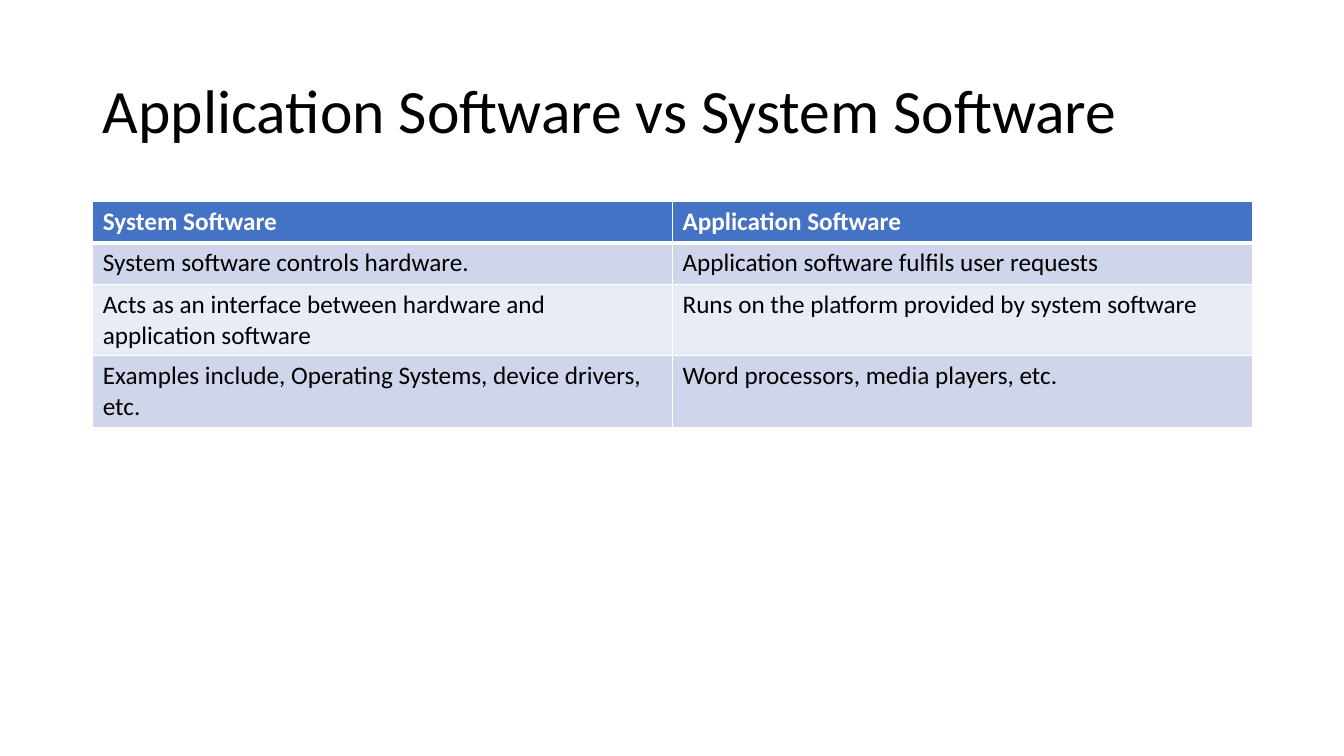
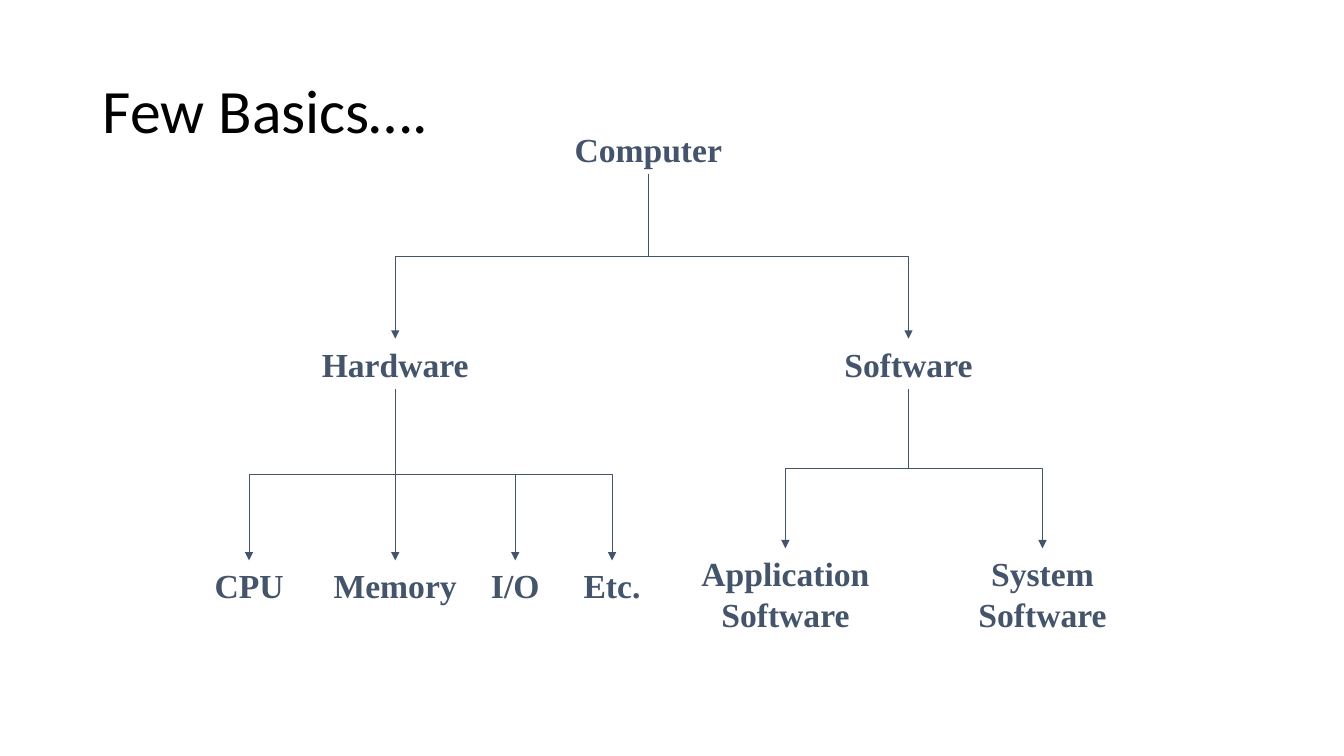
from lxml import etree
from pptx import Presentation
from pptx.dml.color import RGBColor
from pptx.enum.shapes import MSO_CONNECTOR as CONNECTOR
from pptx.enum.text import MSO_ANCHOR as ANCHOR, MSO_AUTO_SIZE as AUTO_SIZE, PP_ALIGN as ALIGN
from pptx.oxml.ns import qn
from pptx.util import Inches, Pt

BLACK, WHITE, SLATE = "000000", "FFFFFF", "44546A"
HEADER_FILL, ROW_FILLS = "4472C4", ("CFD5EA", "E9EBF5")
LEFT, CONTENT_WIDTH = 0.92, 11.5
BOTTOM, TOP = 2, 0  # connection sites of a rectangle

COMPARISON = [
    ("System Software", "Application Software"),
    ("System software controls hardware.", "Application software fulfils user requests"),
    ("Acts as an interface between hardware and application software",
     "Runs on the platform provided by system software"),
    ("Examples include, Operating Systems, device drivers, etc.",
     "Word processors, media players, etc."),
]

# Text, parent, horizontal centre, top, width
NODES = [
    ("Computer", None, 6.43, 1.23, 1.66),
    ("Hardware", "Computer", 3.92, 3.36, 1.66),
    ("Software", "Computer", 9.01, 3.36, 1.48),
    ("Application\nSoftware", "Software", 7.79, 5.44, 1.89),
    ("System\nSoftware", "Software", 10.34, 5.44, 1.49),
    ("CPU", "Hardware", 2.47, 5.56, 0.89),
    ("Memory", "Hardware", 3.92, 5.56, 1.42),
    ("I/O", "Hardware", 5.11, 5.56, 0.68),
    ("Etc.", "Hardware", 6.07, 5.56, 0.77),
]


def color(value):
    return RGBColor.from_string(value)


class Deck:
    TITLE = {"name": "Calibri", "size": Pt(44), "bold": False, "color": BLACK}
    HEADER = {"name": "Calibri", "size": Pt(18), "bold": True, "color": WHITE}
    CELL = {**HEADER, "bold": False, "color": BLACK}
    NODE = {"name": "Times New Roman", "size": Pt(24), "bold": True, "color": SLATE}

    def __init__(self):
        self.presentation = Presentation()
        self.presentation.slide_width = Inches(13.33)
        self.presentation.slide_height = Inches(7.5)
        self.slide = None

    def set_text(self, frame, text, style, align=ALIGN.LEFT, line_spacing=1.0):
        frame.text = text
        for paragraph in frame.paragraphs:
            paragraph.alignment = align
            paragraph.line_spacing = line_spacing
            for name, value in style.items():
                if name == "color":
                    paragraph.font.color.rgb = color(value)
                else:
                    setattr(paragraph.font, name, value)

    def add_slide(self, title):
        self.slide = self.presentation.slides.add_slide(self.presentation.slide_layouts[5])
        shape = self.slide.shapes.title
        shape.left, shape.top = Inches(LEFT), Inches(0.4)
        shape.width, shape.height = Inches(CONTENT_WIDTH), Inches(1.45)
        frame = shape.text_frame
        frame.word_wrap = True
        frame.auto_size = AUTO_SIZE.NONE
        frame.vertical_anchor = ANCHOR.MIDDLE
        self.set_text(frame, title, self.TITLE, line_spacing=0.9)

    def add_border(self, cell, side, points):
        properties = cell._tc.get_or_add_tcPr()
        line = etree.SubElement(properties, qn(f"a:ln{side}"), w=str(Pt(points)))
        fill = etree.SubElement(line, qn("a:solidFill"))
        etree.SubElement(fill, qn("a:srgbClr"), val=WHITE)

    def add_table(self, rows, top, row_height):
        table = self.slide.shapes.add_table(
            len(rows), len(rows[0]), Inches(LEFT), Inches(top),
            Inches(CONTENT_WIDTH), Inches(row_height * len(rows))).table
        for row_index, texts in enumerate(rows):
            is_header = row_index == 0
            fill = HEADER_FILL if is_header else ROW_FILLS[(row_index - 1) % 2]
            borders = {"L": 1, "R": 1, "T": 3 if row_index == 1 else 1, "B": 3 if is_header else 1}
            for column_index, text in enumerate(texts):
                cell = table.cell(row_index, column_index)
                for side, points in borders.items():
                    self.add_border(cell, side, points)
                cell.fill.solid()
                cell.fill.fore_color.rgb = color(fill)
                self.set_text(cell.text_frame, text, self.HEADER if is_header else self.CELL)

    def add_node(self, text, center, top, width):
        height = 0.91 if "\n" in text else 0.5
        shape = self.slide.shapes.add_textbox(
            Inches(center - width / 2), Inches(top), Inches(width), Inches(height))
        shape.text_frame.word_wrap = False
        shape.text_frame.auto_size = AUTO_SIZE.SHAPE_TO_FIT_TEXT
        self.set_text(shape.text_frame, text, self.NODE, ALIGN.CENTER)
        return shape

    def add_branch(self, parent, child):
        """Join two boxes with an arrow that leaves downwards, turns and arrives downwards."""
        connector = self.slide.shapes.add_connector(CONNECTOR.ELBOW, 0, 0, 0, 0)
        connector.begin_connect(parent, BOTTOM)
        connector.end_connect(child, TOP)
        start_x, start_y = connector.begin_x, connector.begin_y
        end_x, end_y = connector.end_x, connector.end_y
        # An elbow runs sideways by default: swap its extents and turn it upright.
        goes_right = end_x > start_x
        connector.width, connector.height = end_y - start_y, abs(end_x - start_x)
        connector.left = (start_x + end_x - connector.width) // 2
        connector.top = (start_y + end_y - connector.height) // 2
        connector.element.flipH, connector.element.flipV = goes_right, False
        connector.element.rot = 270 if goes_right else 90
        connector.line.color.rgb = color(SLATE)
        connector.line.width = Pt(0.75)
        properties = connector.element.spPr
        etree.SubElement(properties.find(qn("a:ln")), qn("a:tailEnd"), type="triangle")
        etree.SubElement(properties, qn("a:effectLst"))


def main():
    deck = Deck()
    deck.add_slide("Application Software vs System Software")
    deck.add_table(COMPARISON, top=2, row_height=0.41)

    deck.add_slide("Few Basics….")
    boxes = {text: deck.add_node(text, *place) for text, _, *place in NODES}
    for text, parent, *_ in NODES:
        if parent:
            deck.add_branch(boxes[parent], boxes[text])
    deck.presentation.save("out.pptx")


if __name__ == "__main__":
    main()
